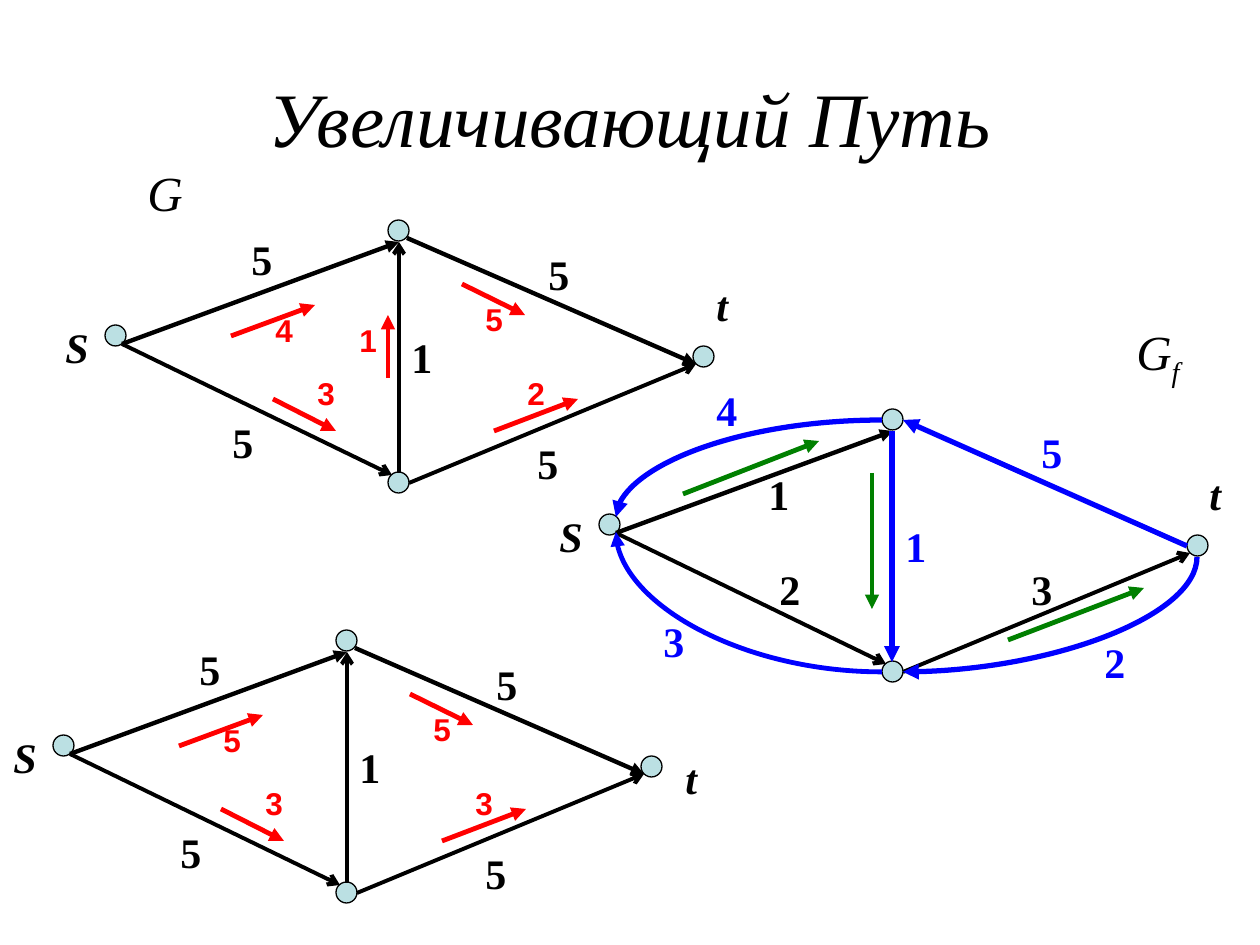
from lxml import etree
from pptx import Presentation
from pptx import util as u
from pptx.dml.color import RGBColor
from pptx.enum import shapes, text
from pptx.oxml.ns import qn

PX = 914400 / 126
THEME = {
    "ink": "000000", "flow": "FF0000", "back": "0000FF", "path": "008000", "node": "BBE0E3",
    "serif": "Times New Roman", "sans": "Arial",
    "title": 44, "name": 28, "label": 24, "small": 18,
}

deck = Presentation()
deck.slide_width, deck.slide_height = round(1260 * PX), round(945 * PX)
slide = deck.slides.add_slide(deck.slide_layouts[6])


def link(ends, color, width, tip="triangle", curve=False, end="tailEnd"):
    kind = shapes.MSO_CONNECTOR.CURVE if curve else shapes.MSO_CONNECTOR.STRAIGHT
    line = slide.shapes.add_connector(kind, *[round(v * PX) for v in ends])
    line.line.color.rgb = RGBColor.from_string(THEME[color])
    line.line.width = u.Pt(width)
    prop = line._element.spPr
    if curve:
        prop.find(qn("a:prstGeom")).set("prst", "curvedConnector2")
    etree.SubElement(line.line._get_or_add_ln(), qn("a:" + end), type=tip)
    etree.SubElement(prop, qn("a:effectLst"))


def label(words, area, size="label", color="ink", face="serif", bold=True, slant=False):
    box = slide.shapes.add_textbox(*[round(v * PX) for v in area])
    frame = box.text_frame
    frame.word_wrap = size == "title"
    para = frame.paragraphs[0]
    for i, word in enumerate(words):
        run = para.add_run()
        run.text = word
        font = run.font
        font.name, font.size = THEME[face], u.Pt(THEME[size])
        font.bold, font.italic = bold, slant
        font.color.rgb = RGBColor.from_string(THEME[color])
        if i:
            run._r.get_or_add_rPr().set("baseline", "-25000")
    return box


title = label(["Увеличивающий Путь"], (63, 38, 1134, 157), "title", bold=False, slant=True)
title.text_frame.vertical_anchor = text.MSO_ANCHOR.MIDDLE
title.text_frame.paragraphs[0].alignment = text.PP_ALIGN.CENTER
label(["G"], (135, 156, 60, 72), "name", bold=False, slant=True)
label(["G", "f"], (1124, 315, 68, 79), "name", bold=False, slant=True)

nodes = [(388, 472), (388, 220), (105, 325), (693, 346)]
edges = [
    ((122, 344, 399, 242), 2.5, "triangle"),
    ((122, 344, 392, 475), 2.25, "arrow"),
    ((409, 483, 696, 364), 2.25, "arrow"),
    ((407, 238, 696, 364), 2.5, "triangle"),
    ((399, 473, 399, 242), 2.25, "arrow"),
]
caps = [("5", 239, 227), ("5", 220, 410), ("5", 536, 242), ("5", 525, 431), ("1", 399, 325)]
flows = [
    ((231, 336, 315, 305), (263, 305)),
    ((273, 399, 336, 431), (305, 368)),
    ((494, 431, 578, 399), (515, 368)),
    ((462, 284, 525, 315), (473, 294)),
    ((388, 378, 388, 315), (347, 315)),
]
graphs = [
    (0, 0, 5, "43251", (704, 273)),
    (494, 189, 3, "", (703, 273)),
    (-52, 410, 5, "5335", (725, 336)),
]

for dx, dy, count, loads, sink in graphs:
    for x, y in nodes:
        node = slide.shapes.add_shape(
            shapes.MSO_SHAPE.OVAL, *[round(v * PX) for v in (x + dx, y + dy, 21, 21)])
        node.shadow.inherit = False
        node.fill.solid()
        node.fill.fore_color.rgb = RGBColor.from_string(THEME["node"])
        node.line.color.rgb = RGBColor.from_string(THEME["ink"])
        node.line.width = u.Pt(0.75)
    for (a, b, c, d), width, tip in edges[:count]:
        link((a + dx, b + dy, c + dx, d + dy), "ink", width, tip)
    label(["S"], (53 + dx, 315 + dy, 48, 63), slant=True)
    label(["t"], (sink[0] + dx, sink[1] + dy, 37, 63), slant=True)
    if loads:
        for cap, x, y in caps:
            label([cap], (x + dx, y + dy, 45, 63))
    for load, ((a, b, c, d), (x, y)) in zip(loads, flows):
        link((a + dx, b + dy, c + dx, d + dy), "flow", 2.75)
        label([load], (x + dx, y + dy, 43, 50), "small", "flow", "sans")

link((882, 420, 616, 517), "back", 3, curve=True)
link((882, 672, 616, 532), "back", 2.75, curve=True)
link((903, 672, 1197, 557), "back", 3, curve=True, end="headEnd")
for ends in [(1187, 546, 903, 420), (892, 431, 892, 662)]:
    link(ends, "back", 3)
for ends in [(683, 494, 819, 441), (1008, 640, 1144, 588), (872, 473, 872, 609)]:
    link(ends, "path", 2.75)
for cap, x, y, color in [
    ("1", 756, 462, "ink"), ("2", 767, 557, "ink"), ("3", 1019, 557, "ink"),
    ("5", 1029, 420, "back"), ("1", 893, 514, "back"), ("4", 704, 378, "back"),
    ("3", 651, 609, "back"), ("2", 1092, 630, "back"),
]:
    label([cap], (x, y, 45, 63), color=color)

deck.save("out.pptx")
